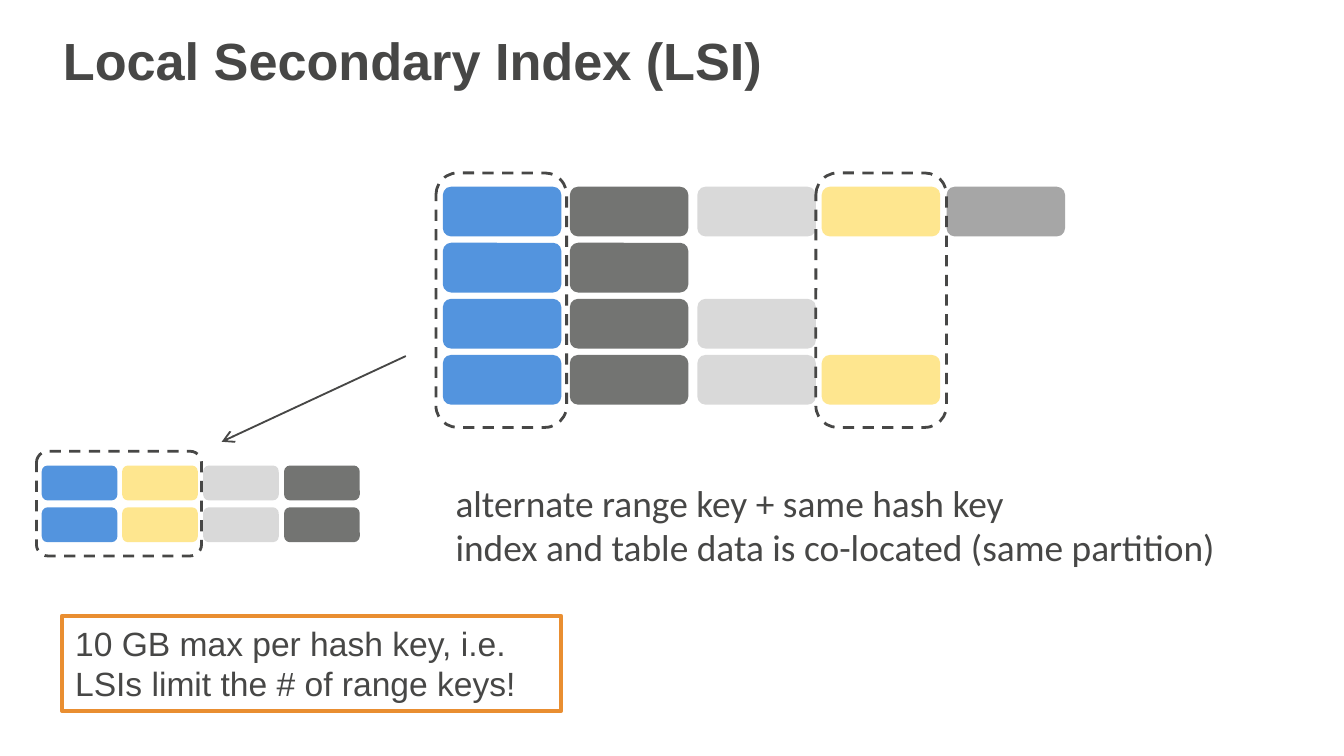
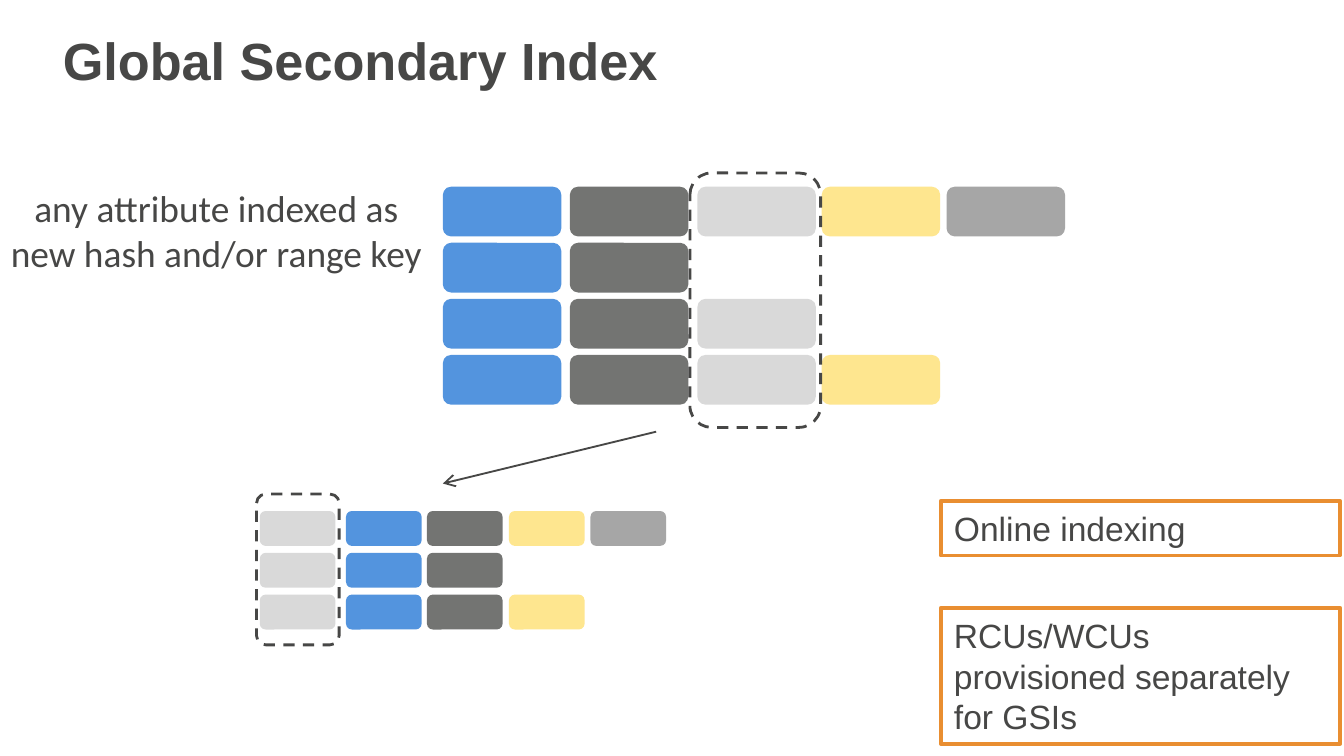
from lxml import etree
from pptx import Presentation
from pptx.dml.color import RGBColor
from pptx.enum.dml import MSO_LINE
from pptx.enum.shapes import MSO_CONNECTOR, MSO_SHAPE
from pptx.enum.text import MSO_ANCHOR, PP_ALIGN
from pptx.oxml.ns import qn
from pptx.util import Cm, Pt

ROUNDED, RECTANGLE = MSO_SHAPE.ROUNDED_RECTANGLE, MSO_SHAPE.RECTANGLE
STRAIGHT, DASH = MSO_CONNECTOR.STRAIGHT, MSO_LINE.DASH
LEFT, CENTER = PP_ALIGN.LEFT, PP_ALIGN.CENTER
TOP, MIDDLE = MSO_ANCHOR.TOP, MSO_ANCHOR.MIDDLE

INK = RGBColor(0x47, 0x47, 0x46)
WHITE = RGBColor(0xFF, 0xFF, 0xFF)
ORANGE = RGBColor(0xE9, 0x8E, 0x31)
ATTRIBUTE_COLORS = {
    "B": RGBColor(0x53, 0x94, 0xDE),
    "D": RGBColor(0x73, 0x74, 0x72),
    "L": RGBColor(0xD9, 0xD9, 0xD9),
    "Y": RGBColor(0xFE, 0xE6, 0x8F),
    "G": RGBColor(0xA6, 0xA6, 0xA6),
}

TABLE = {
    "rows": ["BDLYG", "BD", "BDL", "BDLY"],
    "columns": [8.37, 10.77, 13.18, 15.53, 17.89],
    "top": 3.53, "pitch": 1.06, "cell": (2.24, 0.94),
}
INDEX_PITCH, INDEX_CELL = 0.79, (1.43, 0.66)
KEY_TOP, KEY_SIZE = 3.27, (2.47, 4.81)

SLIDES = [
    {
        "title": "Local Secondary Index (LSI)",
        "index_rows": ["BYLD", "BYLD"],
        "index_columns": [0.79, 2.31, 3.84, 5.37],
        "index_top": 8.8,
        "table_keys": [15.42, 8.24],
        "index_key": (0.69, 8.53, 3.12, 1.98),
        "arrow": (7.67, 6.73, 4.19, 8.35),
        "summary": ["alternate range key + same hash key",
                    "index and table data is co-located (same partition)"],
        "summary_box": (8.36, 8.94, 15.04, 1.96),
        "summary_style": {"wrap": False},
        "callouts": [("10 GB max per hash key, i.e. LSIs limit the # of range keys!",
                      (1.17, 11.64, 9.44, 1.8))],
    },
    {
        "title": "Global Secondary Index",
        "index_rows": ["LBDYG", "LBD", "LBDY"],
        "index_columns": [4.91, 6.54, 8.07, 9.62, 11.16],
        "index_top": 9.66,
        "table_keys": [13.04],
        "index_key": (4.85, 9.34, 1.56, 2.85),
        "arrow": (12.4, 8.16, 8.37, 9.14),
        "summary": ["any attribute indexed as new hash and/or range key"],
        "summary_box": (0.13, 3.51, 7.92, 1.7),
        "summary_style": {"align": CENTER, "margins": (0, 0)},
        "callouts": [("RCUs/WCUs provisioned separately for GSIs",
                      (17.78, 11.49, 7.55, 2.57)),
                     ("Online indexing", (17.78, 9.47, 7.55, 1.03))],
    },
]


def lengths(box):
    return [Cm(value) for value in box]


def write(frame, lines, font, size, bold=False, align=LEFT, anchor=TOP,
          wrap=True, margins=(0.25, 0.13)):
    frame.text = "\n".join(lines)
    frame.word_wrap = wrap
    frame.vertical_anchor = anchor
    frame.margin_left = frame.margin_right = Cm(margins[0])
    frame.margin_top = frame.margin_bottom = Cm(margins[1])
    for paragraph in frame.paragraphs:
        paragraph.alignment = align
        for run in paragraph.runs:
            run.font.name = font
            run.font.size = Pt(size)
            run.font.bold = bold
            run.font.color.rgb = INK


def add_box(slide, kind, box, fill=None, line=None, width=0):
    shape = slide.shapes.add_shape(kind, *lengths(box))
    shape.shadow.inherit = False
    if fill is None:
        shape.fill.background()
    else:
        shape.fill.solid()
        shape.fill.fore_color.rgb = fill
    if line is None:
        shape.line.fill.background()
    else:
        shape.line.color.rgb = line
        shape.line.width = Pt(width)
    return shape


def add_cells(slide, rows, columns, top, pitch, cell):
    for number, row in enumerate(rows):
        for left, attribute in zip(columns, row):
            add_box(slide, ROUNDED, (left, top + number * pitch, *cell),
                    fill=ATTRIBUTE_COLORS[attribute])


def add_key_outline(slide, box):
    outline = add_box(slide, ROUNDED, box, line=INK, width=1.5)
    outline.line.dash_style = DASH
    return outline


def add_arrow(slide, ends):
    arrow = slide.shapes.add_connector(STRAIGHT, *lengths(ends))
    arrow.line.color.rgb = INK
    arrow.line.width = Pt(1)
    etree.SubElement(arrow.line._get_or_add_ln(), qn("a:tailEnd"), type="arrow")
    etree.SubElement(arrow._element.spPr, qn("a:effectLst"))


def build_slide(deck, content):
    slide = deck.slides.add_slide(deck.slide_layouts[6])
    title = slide.shapes.add_textbox(*lengths((0.94, 0.33, 22.78, 2.39)))
    write(title.text_frame, [content["title"]], "Arial", 28, bold=True,
          margins=(0.25, 0.21))

    add_cells(slide, **TABLE)
    summary = slide.shapes.add_textbox(*lengths(content["summary_box"]))
    write(summary.text_frame, content["summary"], "Calibri", 20,
          **content["summary_style"])
    add_cells(slide, content["index_rows"], content["index_columns"],
              content["index_top"], INDEX_PITCH, INDEX_CELL)

    add_arrow(slide, content["arrow"])
    for left in content["table_keys"]:
        add_key_outline(slide, (left, KEY_TOP, *KEY_SIZE))
    add_key_outline(slide, content["index_key"]).adjustments[0] = 0.11

    for text, box in content["callouts"]:
        callout = add_box(slide, RECTANGLE, box, WHITE, ORANGE, 2)
        write(callout.text_frame, [text], "Arial", 18, anchor=MIDDLE)


def main():
    deck = Presentation()
    deck.slide_width, deck.slide_height = Cm(25.4), Cm(14.29)
    for content in SLIDES:
        build_slide(deck, content)
    deck.save("out.pptx")


if __name__ == "__main__":
    main()
